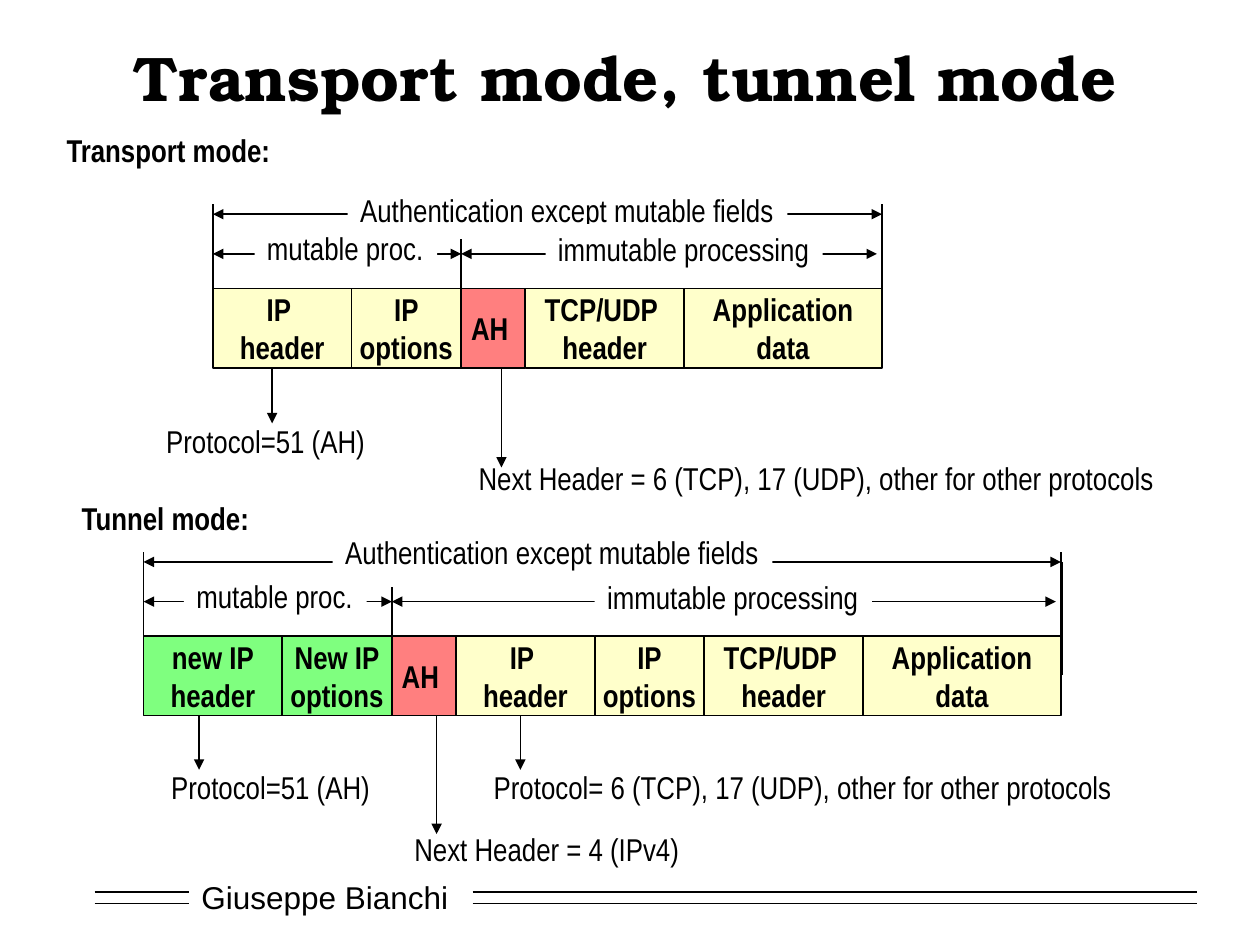
import lxml.etree
import pptx
import pptx.dml.color
import pptx.enum.shapes
import pptx.enum.text
import pptx.oxml.ns
import pptx.util

RGBColor = pptx.dml.color.RGBColor
Align = pptx.enum.text.PP_ALIGN
Anchor = pptx.enum.text.MSO_ANCHOR

BLACK = RGBColor(0x00, 0x00, 0x00)
WHITE = RGBColor(0xFF, 0xFF, 0xFF)
YELLOW = RGBColor(0xFF, 0xFF, 0x99)
RED = RGBColor(0xFF, 0x00, 0x00)
GREEN = RGBColor(0x00, 0xFF, 0x00)

SLIDE_WIDTH = pptx.util.Inches(10)
SLIDE_HEIGHT = pptx.util.Inches(7.5)
COLUMNS, ROWS = 100, 75
FIELD_HEIGHT = 6.3
LABEL_HEIGHT = 4
NARROW = "Arial Narrow"

AH = ("AH ", 5.1, RED)
IP_HEADER = ("IP \nheader", 11, YELLOW)
IP_OPTIONS = ("IP\noptions", 8.7, YELLOW)
NEW_IP_HEADER = ("new IP\nheader", 11, GREEN)
NEW_IP_OPTIONS = ("New IP\noptions", 8.7, GREEN)
PAYLOAD = [("TCP/UDP \nheader", 12.6, YELLOW), ("Application\ndata", 15.7, YELLOW)]
TRANSPORT_FIELDS = [IP_HEADER, IP_OPTIONS, AH] + PAYLOAD
TUNNEL_FIELDS = [NEW_IP_HEADER, NEW_IP_OPTIONS, AH, IP_HEADER, IP_OPTIONS] + PAYLOAD


def col(count):
    return int(SLIDE_WIDTH * count / COLUMNS)


def row(count):
    return int(SLIDE_HEIGHT * count / ROWS)


def write(frame, text, size=18, font=NARROW, bold=False, align=Align.LEFT):
    paragraph = frame.paragraphs[0]
    paragraph.alignment = align
    for index, line in enumerate(text.split("\n")):
        if index:
            paragraph.add_line_break()
        run = paragraph.add_run()
        run.text = line
        run.font.size = pptx.util.Pt(size)
        run.font.name = font
        run.font.bold = bold
        run.font.color.rgb = BLACK


def add_box(slide, left, top, width, height, fill):
    box = slide.shapes.add_shape(
        pptx.enum.shapes.MSO_SHAPE.RECTANGLE, col(left), row(top), col(width), row(height))
    box.shadow.inherit = False
    box.fill.solid()
    box.fill.fore_color.rgb = fill
    box.line.fill.background()
    box.text_frame.word_wrap = False
    return box


def add_field(slide, left, top, width, text, fill):
    field = add_box(slide, left, top, width, FIELD_HEIGHT, fill)
    color = field.fill._xPr.find(".//" + pptx.oxml.ns.qn("a:srgbClr"))
    lxml.etree.SubElement(color, pptx.oxml.ns.qn("a:alpha"), val="50000")
    field.line.color.rgb = BLACK
    field.line.width = pptx.util.Pt(1)
    field.text_frame.vertical_anchor = Anchor.MIDDLE
    write(field.text_frame, text, bold=True, align=Align.CENTER)


def add_span_label(slide, left, top, width, text):
    label = add_box(slide, left, top, width, LABEL_HEIGHT, WHITE)
    label.text_frame.vertical_anchor = Anchor.TOP
    write(label.text_frame, text)


def add_note(slide, left, top, width, text, bold=False):
    note = slide.shapes.add_textbox(col(left), row(top), col(width), row(LABEL_HEIGHT))
    note.text_frame.word_wrap = False
    write(note.text_frame, text, bold=bold)


def add_line(slide, x1, y1, x2, y2, ends=()):
    line = slide.shapes.add_connector(
        pptx.enum.shapes.MSO_CONNECTOR.STRAIGHT, col(x1), row(y1), col(x2), row(y2))
    line.line.color.rgb = BLACK
    line.line.width = pptx.util.Pt(1)
    outline = line.line._get_or_add_ln()
    for end in ends:
        lxml.etree.SubElement(outline, pptx.oxml.ns.qn("a:" + end), type="triangle")
    lxml.etree.SubElement(line._element.spPr, pptx.oxml.ns.qn("a:effectLst"))


def add_span(slide, start, end, y):
    add_line(slide, start, y, end, y, ("headEnd", "tailEnd"))


def add_pointer(slide, x, top, length):
    add_line(slide, x, top, x, top + length, ("tailEnd",))


def add_packet(slide, left, top, fields, auth_label, mutable_left, immutable_left):
    x = left
    for text, width, fill in fields:
        add_field(slide, x, top, width, text, fill)
        x += width
    right = x
    split = left + sum(width for _, width, _ in fields[:2])

    add_span(slide, left, right, top - 5.9)
    add_span_label(slide, *auth_label, 34.9, "Authentication except mutable fields")
    add_span(slide, left, split, top - 2.75)
    add_span_label(slide, mutable_left, top - 5.2, 14.5, "mutable proc.")
    add_span(slide, split, right - 0.4, top - 2.75)
    add_span_label(slide, immutable_left, top - 5.1, 22, "immutable processing")

    add_line(slide, split, top + 0.4, split, top - 3.9)
    for edge in (left, right):
        add_line(slide, edge, top + 2.4, edge, top - 6.7)


def add_footer(slide):
    author = add_box(slide, 15, 69.2, 21.7, LABEL_HEIGHT, WHITE)
    author.text_frame.vertical_anchor = Anchor.MIDDLE
    write(author.text_frame, "Giuseppe Bianchi", font="Arial")
    for y in (70.8, 71.7):
        for start, end in ((7.5, 15), (37.5, 95)):
            add_line(slide, start, y, end, y)


def add_title(slide):
    title = slide.shapes.title
    title.left, title.top = col(7.5), row(2.5)
    title.width, title.height = col(84.2), row(7.1)
    title.text_frame.vertical_anchor = Anchor.MIDDLE
    write(title.text_frame, "Transport mode, tunnel mode", size=36,
          font="TeX Gyre Bonum", bold=True, align=Align.CENTER)


def add_transport_mode(slide):
    top = 22.9
    bottom = top + FIELD_HEIGHT
    add_note(slide, 4.3, 9.9, 18.3, "Transport mode:", bold=True)
    add_packet(slide, 16.9, top, TRANSPORT_FIELDS, (27.6, 14.7), 20.2, 43.3)
    add_pointer(slide, 21.6, bottom, 4.4)
    add_note(slide, 12.2, 33, 17.8, "Protocol=51 (AH)")
    add_pointer(slide, 39.8, bottom, 7.9)
    add_note(slide, 37, 35.9, 55.7,
             "Next Header = 6 (TCP), 17 (UDP), other for other protocols")


def add_tunnel_mode(slide):
    top = 50.5
    bottom = top + FIELD_HEIGHT
    add_note(slide, 5.5, 39.1, 15.5, "Tunnel mode:", bold=True)
    add_packet(slide, 11.4, top, TUNNEL_FIELDS, (26.4, 41.8), 14.6, 47.2)
    add_line(slide, 84.3, 53.6, 84.3, 44.6)
    add_pointer(slide, 15.8, bottom, 4.3)
    add_note(slide, 12.6, 60.5, 17.8, "Protocol=51 (AH)")
    add_pointer(slide, 34.65, bottom, 9.4)
    add_note(slide, 31.9, 65.4, 23.1, "Next Header = 4 (IPv4)")
    add_pointer(slide, 41.3, bottom, 4.3)
    add_note(slide, 38.2, 60.5, 51.1,
             "Protocol= 6 (TCP), 17 (UDP), other for other protocols")


def main():
    deck = pptx.Presentation()
    deck.slide_width = SLIDE_WIDTH
    deck.slide_height = SLIDE_HEIGHT
    slide = deck.slides.add_slide(deck.slide_layouts[5])
    add_footer(slide)
    add_title(slide)
    add_transport_mode(slide)
    add_tunnel_mode(slide)
    deck.save("out.pptx")


if __name__ == "__main__":
    main()
